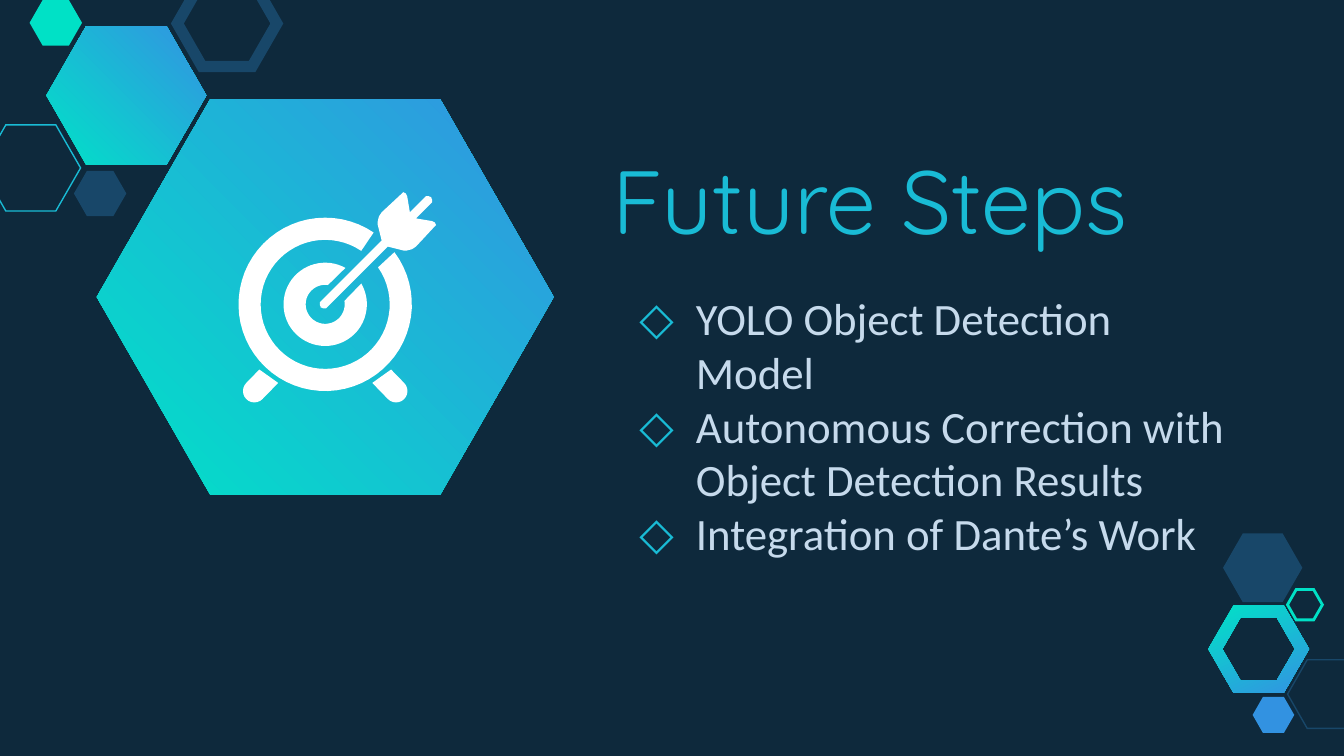
from math import cos, radians, sin

from lxml.etree import SubElement
from pptx import Presentation
from pptx.dml.color import RGBColor as RGB
from pptx.enum.shapes import MSO_SHAPE as SHAPE
from pptx.enum.text import MSO_ANCHOR as ANCHOR
from pptx.oxml.ns import qn
from pptx.util import Emu, Inches, Pt

# 16:9 slide on a grid of 100 columns with square cells
WIDTH = Inches(10)
HEIGHT = Emu(WIDTH * 9 // 16)
CELL = WIDTH / 100

COLORS = {
    "navy": "0E293C", "steel": "184769", "cyan": "19BBD5", "teal": "00E1C6",
    "blue": "3292E1", "pale": "C6DAEC", "white": "FFFFFF",
    "grad_start": "00E2C7", "grad_end": "3393E2",
}
TITLE = {"size": Pt(48), "name": "Quicksand", "color": "cyan"}
BODY = {"size": Pt(24), "name": "Calibri", "color": "pale"}
BULLET = {"char": "◇", "name": "Quicksand", "color": "cyan"}
STEPS = [
    "YOLO Object Detection Model",
    "Autonomous Correction with Object Detection Results",
    "Integration of Dante’s Work",
]

# Centre column, centre row, width, format
HEXAGONS = [
    (9.4, 7.1, 11.9, {"gradient": 45}),
    (2.3, 12.5, 7.4, {"line": ("cyan", 0.75)}),
    (7.45, 14.4, 3.9, {"fill": "steel"}),
    (16.9, 1.75, 7.4, {"line": ("steel", 6)}),
    (98.75, 51.65, 5.9, {"line": ("steel", 0.75)}),
    (94.75, 53.2, 3.1, {"fill": "blue"}),
    (93.95, 42.25, 5.9, {"fill": "steel"}),
    (97.1, 45, 2.6, {"line": ("teal", 1.5)}),
    (24.2, 22.1, 34, {"gradient": 45}),
    (4.15, 1.7, 3.9, {"fill": "teal"}),
]

# Target icon
TARGET = (24.2, 22.65)
ARROW_AXIS = 46.75  # column + row along the shaft
LEG_FOOT = (18.93, 29.1)
HALF_ARROW = [
    (23.9, 22.9), (23.8, 22.7), (23.8, 22.5), (23.9, 22.4), (28.4, 17.9),
    (28.1, 16.7), (28.1, 16.5), (28.2, 16.1), (28.4, 15.8), (29.8, 14.5),
    (30, 14.3), (30.2, 14.4), (30.3, 14.6), (30.5, 15.8), (31.5, 14.8),
    (31.7, 14.6), (31.9, 14.6), (32.1, 14.7),
]


def cells(n):
    return Emu(round(n * CELL))


def rgb(name):
    return RGB.from_string(COLORS[name])


def style(s, fill=None, line=None, gradient=None):
    s.shadow.inherit = False
    if gradient is not None:
        s.fill.gradient()
        s.fill.gradient_angle = gradient
        for stop, name, pos in zip(s.fill.gradient_stops, ("grad_start", "grad_end"), (0, 1)):
            stop.color.rgb, stop.position = rgb(name), pos
    elif fill:
        s.fill.solid()
        s.fill.fore_color.rgb = rgb(fill)
    else:
        s.fill.background()
    if line:
        s.line.color.rgb, s.line.width = rgb(line[0]), Pt(line[1])
        SubElement(s.line._get_or_add_ln(), qn("a:miter"), lim="800000")
    else:
        s.line.fill.background()


def add_hexagon(sp, cx, cy, w, fmt):
    h = w * sin(radians(60))
    s = sp.add_shape(SHAPE.HEXAGON, *map(cells, (cx - w / 2, cy - h / 2, w, h)))
    s.adjustments[0], s.adjustments[1] = 0.287, 1.155
    style(s, **fmt)


def add_outline(sp, contours, **fmt):
    """Freeform from one or more closed contours, in cells."""
    contours = [[(cells(x), cells(y)) for x, y in c] for c in contours]
    builder = sp.build_freeform(*contours[0][0])
    for i, points in enumerate(contours):
        if i:
            builder.move_to(*points[0])
        builder.add_line_segments(points[1:], close=True)
    style(builder.convert_to_shape(), **fmt)


def arc(center, radius, start, end, steps):
    angles = (radians(start + (end - start) * i / steps) for i in range(steps + 1))
    return [(center[0] + radius * cos(a), center[1] + radius * sin(a)) for a in angles]


def add_hexagon_ring(sp, center, outer, inner, **fmt):
    add_outline(sp, [arc(center, outer, 0, 300, 5), arc(center, inner, 300, 0, 5)], **fmt)


def add_target(sp):
    icon = sp.add_group_shape().shapes
    # Open rings: radius, start and end angle of each edge
    for outer, inner in [((6.45, -37, 304), (4.8, -35, 304)),
                         ((3.1, -30, 299), (1.45, -10, 278))]:
        ring = arc(TARGET, *outer, 60) + arc(TARGET, *inner, 60)[::-1]
        add_outline(icon, [ring], fill="white")
    # Legs and arrow, each with a mirrored half
    leg = [(20.7, 28.5), (20, 28), (19.3, 27.5)] + arc(LEG_FOOT, 0.85, 225, 45, 12)
    mirrored_leg = [(2 * TARGET[0] - x, y) for x, y in leg]
    arrow = HALF_ARROW + [(ARROW_AXIS - y, ARROW_AXIS - x) for x, y in HALF_ARROW[::-1]]
    for points in (leg, mirrored_leg, arrow):
        add_outline(icon, [points], fill="white")


def add_bullet(p, char, name, color):
    pPr = p._p.get_or_add_pPr()
    pPr.set("marL", str(cells(5)))
    pPr.set("indent", str(cells(-4.2)))
    SubElement(SubElement(pPr, qn("a:buClr")), qn("a:srgbClr"), val=COLORS[color])
    SubElement(pPr, qn("a:buFont"), typeface=name)
    SubElement(pPr, qn("a:buChar"), char=char)


def add_text(sp, box, lines, fmt, bullet=None):
    tf = sp.add_textbox(*map(cells, box)).text_frame
    frame = dict.fromkeys(("margin_left", "margin_top", "margin_right", "margin_bottom"), cells(1))
    for key, value in {**frame, "word_wrap": True, "vertical_anchor": ANCHOR.TOP}.items():
        setattr(tf, key, value)
    for i, line in enumerate(lines):
        p = tf.paragraphs[0] if i == 0 else tf.add_paragraph()
        if bullet:
            add_bullet(p, **bullet)
        r = p.add_run()
        r.text = line
        for key in ("size", "name"):
            setattr(r.font, key, fmt[key])
        r.font.color.rgb = rgb(fmt["color"])


def main():
    prs = Presentation()
    prs.slide_width, prs.slide_height = WIDTH, HEIGHT
    slide = prs.slides.add_slide(prs.slide_layouts[6])
    slide.background.fill.solid()
    slide.background.fill.fore_color.rgb = rgb("navy")
    sp = slide.shapes

    # Hexagon clusters
    add_hexagon_ring(sp, (93.65, 48.3), 3.75, 2.7, gradient=296)
    for hexagon in HEXAGONS:
        add_hexagon(sp, *hexagon)

    # Title and steps
    add_text(sp, (44.6, 9.75, 54.6, 12.7), ["Future Steps"], TITLE)
    add_text(sp, (45.8, 20.65, 47.4, 29.4), STEPS, BODY, BULLET)

    add_target(sp)
    prs.save("out.pptx")


if __name__ == "__main__":
    main()
